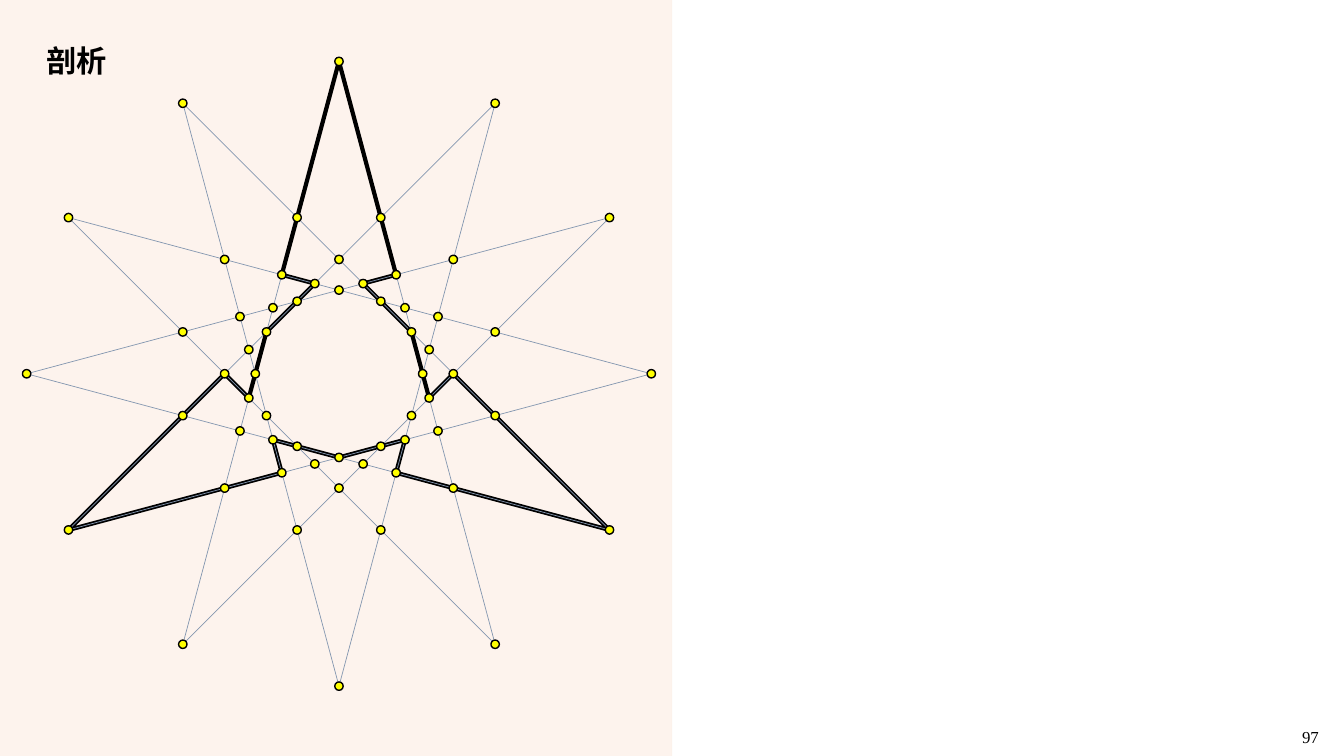
from math import cos, radians, sin

from lxml.etree import SubElement
from pptx import Presentation
from pptx.dml.color import RGBColor
from pptx.enum.shapes import MSO_CONNECTOR as Connector, MSO_SHAPE as Shape
from pptx.enum.text import MSO_ANCHOR as Anchor, MSO_AUTO_SIZE as AutoSize, PP_ALIGN as Align
from pptx.oxml.ns import qn
from pptx.util import Pt

BLACK = RGBColor(0, 0, 0)
YELLOW = RGBColor(255, 255, 0)
PEACH = RGBColor(0xF4, 0xB1, 0x83)
PALE_PEACH = RGBColor(0xFB, 0xE5, 0xD6)
SLATE = RGBColor(0x84, 0x97, 0xB0)

TITLE = "剖析"
PAGE_NUMBER = "97"
TITLE_FONT = {"name": "Noto Sans CJK SC", "size": Pt(21.6), "bold": True}
NUMBER_FONT = {"name": "Times New Roman", "size": Pt(12)}
TITLE_FRAME = {"word_wrap": False, "vertical_anchor": Anchor.MIDDLE, "auto_size": AutoSize.NONE}
NUMBER_FRAME = {"word_wrap": False, "auto_size": AutoSize.SHAPE_TO_FIT_TEXT}
TITLE_BOX = {"left": Pt(25.9), "top": Pt(28.8), "width": Pt(428.4), "height": Pt(31.7)}
NUMBER_BOX = (923, 515.5, 26.6, 21.6)

WIDTH, HEIGHT = 960, 540
CENTER_X, CENTER_Y = 242.15, 267
STAR_RADIUS = 223.1
POINTS, SKIP = 12, 5
STEP = 360 / POINTS
FIRST_POINT = 7
CHORDS_BEHIND = 2
DOT_SIZE = 6
ARM_TURNS = (0, 120, 240)
ARM = [(5, 0), (3, 30), (2, 15), (1, 60), (2, 105), (3, 90)]


def set_values(target, values):
    for name, value in values.items():
        setattr(target, name, value)


def set_alpha(properties, percent):
    color = properties.find(".//" + qn("a:srgbClr"))
    SubElement(color, qn("a:alpha"), val=str(percent * 1000))


def ring_point(ring, angle):
    inner_radius = STAR_RADIUS * cos(radians(STEP / 2 * SKIP))
    radius = inner_radius / cos(radians(STEP / 2 * ring))
    turn = radians(angle)
    return CENTER_X + radius * sin(turn), CENTER_Y - radius * cos(turn)


def add_line(slide, start, end, color, width):
    line = slide.shapes.add_connector(
        Connector.STRAIGHT, *(Pt(value) for value in (*start, *end)))
    line.line.color.rgb = color
    line.line.width = Pt(width)
    SubElement(line._element.spPr, qn("a:effectLst"))
    return line


def add_chords(slide, numbers):
    for number in numbers:
        first = FIRST_POINT + SKIP * number
        start, end = (ring_point(SKIP, STEP * point) for point in (first, first + SKIP))
        add_line(slide, start, end, SLATE, 0.5)


def add_outline(slide):
    corners = [ring_point(ring, angle + turn) for turn in ARM_TURNS for ring, angle in ARM]
    corners = [(Pt(x), Pt(y)) for x, y in corners]
    builder = slide.shapes.build_freeform(*corners[0], scale=1.0)
    builder.add_line_segments(corners[1:], close=True)
    outline = builder.convert_to_shape()
    outline.shadow.inherit = False
    outline.fill.background()
    outline.line.color.rgb = BLACK
    outline.line.width = Pt(3)


def add_dots(slide):
    for ring in range(1, SKIP + 1):
        offset = STEP / 2 * ((ring + 1) % 2)
        for number in range(POINTS):
            x, y = ring_point(ring, STEP * number + offset)
            dot = slide.shapes.add_shape(
                Shape.OVAL, Pt(x - DOT_SIZE / 2), Pt(y - DOT_SIZE / 2), Pt(DOT_SIZE), Pt(DOT_SIZE))
            dot.shadow.inherit = False
            dot.fill.solid()
            dot.fill.fore_color.rgb = YELLOW
            dot.line.color.rgb = BLACK
            dot.line.width = Pt(1)


def add_panel(slide):
    panel = slide.shapes.add_shape(Shape.RECTANGLE, 0, 0, Pt(WIDTH / 2), Pt(HEIGHT))
    panel.shadow.inherit = False
    panel.fill.solid()
    panel.fill.fore_color.rgb = PEACH
    set_alpha(panel._element.spPr, 14)
    panel.line.fill.background()
    edge = add_line(slide, (WIDTH / 2, HEIGHT), (WIDTH / 2, 0), PALE_PEACH, 0.25)
    set_alpha(edge._element.spPr, 50)
    return edge


def write_text(shape, text, frame_values, font_values):
    frame = shape.text_frame
    frame.text = text
    set_values(frame, frame_values)
    paragraph = frame.paragraphs[0]
    paragraph.alignment = Align.LEFT
    font = paragraph.runs[0].font
    set_values(font, font_values)
    font.color.rgb = BLACK
    SubElement(font._element, qn("a:ea"), typeface=font_values["name"])
    return paragraph


def main():
    presentation = Presentation()
    presentation.slide_width, presentation.slide_height = Pt(WIDTH), Pt(HEIGHT)
    slide = presentation.slides.add_slide(presentation.slide_layouts[5])

    title = slide.shapes.title
    set_values(title, TITLE_BOX)
    write_text(title, TITLE, TITLE_FRAME, TITLE_FONT).line_spacing = 0.9
    edge = add_panel(slide)
    edge._element.addnext(title._element)

    add_chords(slide, range(CHORDS_BEHIND))
    add_outline(slide)
    add_chords(slide, range(CHORDS_BEHIND, POINTS))
    add_dots(slide)

    number = slide.shapes.add_textbox(*(Pt(value) for value in NUMBER_BOX))
    write_text(number, PAGE_NUMBER, NUMBER_FRAME, NUMBER_FONT)
    presentation.save("out.pptx")


if __name__ == "__main__":
    main()
